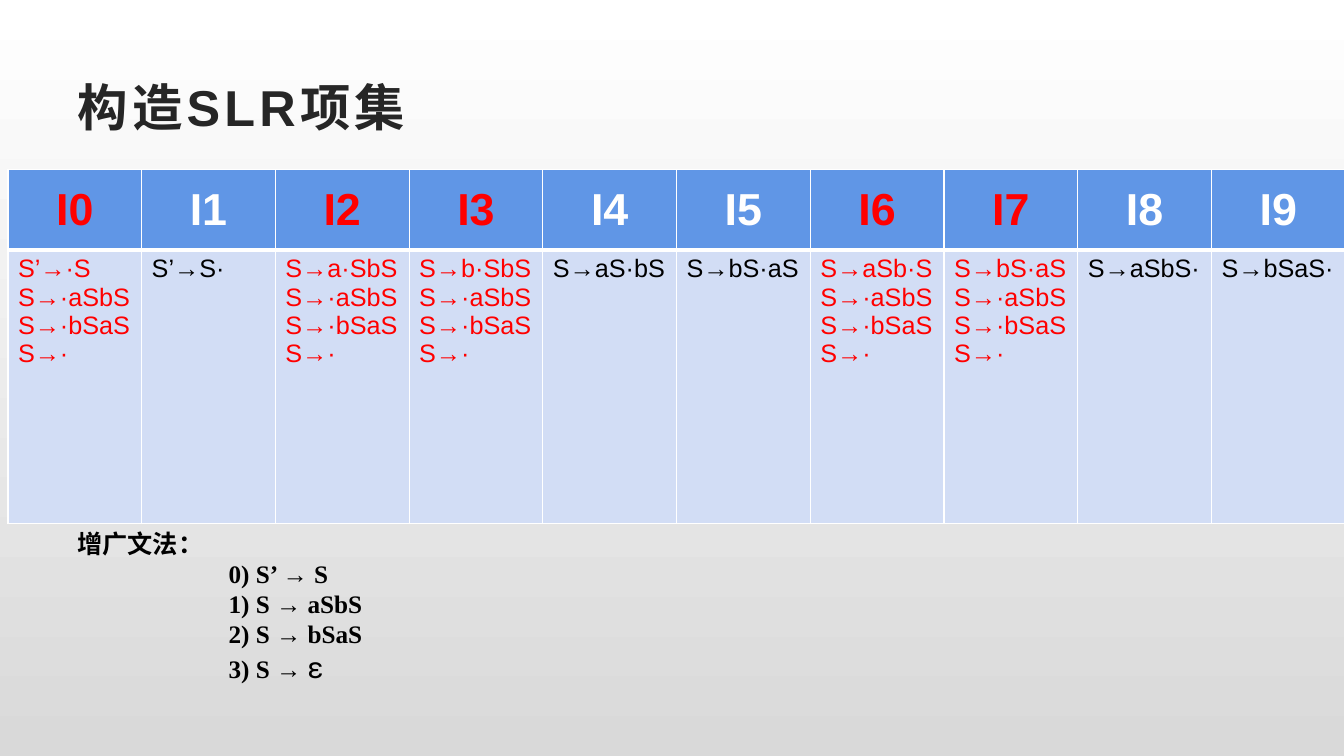
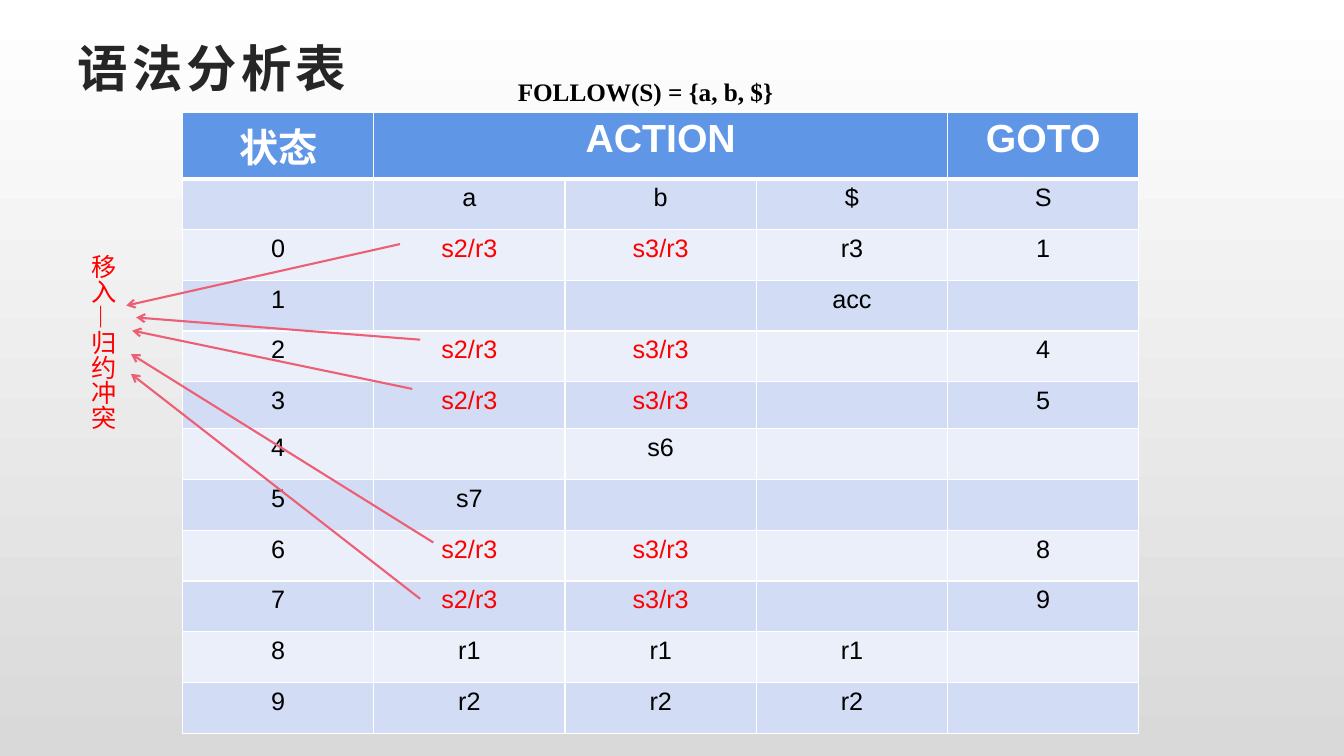
import pptx
import pptx.util
import pptx.dml.color
import pptx.enum.shapes
import pptx.enum.text
import pptx.oxml.ns
from lxml import etree

Cm, Pt = pptx.util.Cm, pptx.util.Pt
qn = pptx.oxml.ns.qn
ALIGN = pptx.enum.text.PP_ALIGN
ANCHOR = pptx.enum.text.MSO_ANCHOR
FIT = pptx.enum.text.MSO_AUTO_SIZE

# Shared look
WHITE, BLACK, RED = "FFFFFF", "000000", "FF0000"
INK, GREY, ARROW = "262626", "D9D9D9", "EC5F74"
HEADER, BAND_DARK, BAND_LIGHT = "6096E6", "D2DDF5", "EAEFFA"
SANS, SERIF, SYMBOL = "Arial", "Times New Roman", "Roboto"

# Slide 1: item sets and grammar
CLOSURE = ["S→·aSbS", "S→·bSaS", "S→·"]
ITEM_SETS = [
    ["S’→·S"] + CLOSURE, ["S’→S·"], ["S→a·SbS"] + CLOSURE, ["S→b·SbS"] + CLOSURE,
    ["S→aS·bS"], ["S→bS·aS"], ["S→aSb·S"] + CLOSURE, ["S→bS·aS"] + CLOSURE,
    ["S→aSbS·"], ["S→bSaS·"],
]
GRAMMAR = ["增广文法：", "0) S’ → S", "1) S → aSbS", "2) S → bSaS", "3) S → "]

# Slide 2: parsing table and the arrows to its conflicts
PARSE_ROWS = [
    ["状态", "ACTION", "", "", "GOTO"],
    ["", "a", "b", "$", "S"],
    ["0", "s2/r3", "s3/r3", "r3", "1"],
    ["1", "", "", "acc", ""],
    ["2", "s2/r3", "s3/r3", "", "4"],
    ["3", "s2/r3", "s3/r3", "", "5"],
    ["4", "", "s6", "", ""],
    ["5", "s7", "", "", ""],
    ["6", "s2/r3", "s3/r3", "", "8"],
    ["7", "s2/r3", "s3/r3", "", "9"],
    ["8", "r1", "r1", "r1", ""],
    ["9", "r2", "r2", "r2", ""],
]
PARSE_HEIGHTS = [1.45] + [1.28] * 4 + [1.18] + [1.28] * 6
CONFLICT_ARROWS = [  # (from x, from y, to x, to y)
    (10.08, 6.15, 3.18, 7.7),
    (10.39, 9.8, 3.33, 8.33),
    (10.59, 8.56, 3.43, 8),
    (10.92, 13.67, 3.3, 8.92),
    (10.59, 15.09, 3.3, 9.42),
]


def rgb(value):
    return pptx.dml.color.RGBColor.from_string(value)


def style(font, size, colour, name=SANS, bold=False):
    font.size, font.name, font.bold = Pt(size), name, bold
    font.color.rgb = rgb(colour)


def write(frame, lines, size, colour, name=SANS, bold=False, align=ALIGN.LEFT):
    for index, line in enumerate(lines):
        para = frame.add_paragraph() if index else frame.paragraphs[0]
        para.text = line
        para.alignment = align
        style(para.font, size, colour, name, bold)


def add_page(deck, title, top):
    page = deck.slides.add_slide(deck.slide_layouts[5])
    shape = page.shapes.title
    shape.left, shape.top, shape.width, shape.height = Cm(1.7), Cm(top), Cm(30.48), Cm(1.95)
    frame = shape.text_frame
    frame.auto_size, frame.vertical_anchor = FIT.NONE, ANCHOR.MIDDLE
    write(frame, [title], 36, INK, bold=True)
    frame.paragraphs[0].runs[0]._r.get_or_add_rPr().set("spc", "300")
    return page


def add_text(page, left, top, width, height, lines, colour, **look):
    box = page.shapes.add_textbox(Cm(left), Cm(top), Cm(width), Cm(height))
    frame = box.text_frame
    frame.word_wrap, frame.auto_size = True, FIT.SHAPE_TO_FIT_TEXT
    write(frame, lines, 18, colour, **look)
    return frame


def add_grid(page, left, top, column, columns, heights):
    frame = page.shapes.add_table(len(heights), columns, Cm(left), Cm(top),
                                  Cm(column * columns), Cm(sum(heights)))
    table = frame.table
    table.first_row = table.horz_banding = False
    for item in table.columns:
        item.width = Cm(column)
    for index, height in enumerate(heights):
        table.rows[index].height = Cm(height)
        fill = HEADER if index == 0 else BAND_DARK if index % 2 else BAND_LIGHT
        for cell in table.rows[index].cells:
            cell.fill.solid()
            cell.fill.fore_color.rgb = rgb(fill)
            add_borders(cell, top=3 if index == 1 else 1, bottom=3 if index == 0 else 1)
    return table


def add_borders(cell, top, bottom):
    properties = cell._tc.get_or_add_tcPr()
    for place, (side, width) in enumerate([("L", 1), ("R", 1), ("T", top), ("B", bottom)]):
        line = etree.Element(qn("a:ln" + side), w=str(Pt(width)))
        fill = etree.SubElement(line, qn("a:solidFill"))
        etree.SubElement(fill, qn("a:srgbClr"), val=WHITE)
        properties.insert(place, line)


def add_arrow(page, ends):
    line = page.shapes.add_connector(pptx.enum.shapes.MSO_CONNECTOR.STRAIGHT, *map(Cm, ends))
    line.line.color.rgb = rgb(ARROW)
    line.line.width = Pt(1.5)
    etree.SubElement(line.line._get_or_add_ln(), qn("a:tailEnd"), type="arrow")
    etree.SubElement(line._element.spPr, qn("a:effectLst"))


def build_item_sets(deck):
    page = add_page(deck, "构造SLR项集", 1.7)
    table = add_grid(page, 0.2, 4.27, 3.37, len(ITEM_SETS), [2.03, 6.9])
    for number, items in enumerate(ITEM_SETS):
        conflict = len(items) > 1
        head, body = table.cell(0, number), table.cell(1, number)
        head.vertical_anchor = ANCHOR.MIDDLE
        write(head.text_frame, [f"I{number}"], 32, RED if conflict else WHITE,
              bold=True, align=ALIGN.CENTER)
        write(body.text_frame, items, 18, RED if conflict else BLACK)

    # Augmented grammar
    frame = add_text(page, 1.7, 13.18, 9.25, 4.22, GRAMMAR, BLACK, name=SERIF, bold=True)
    for para in frame.paragraphs[1:]:
        para.level = 3
        para._p.get_or_add_pPr().set("marL", str(Cm(3.81)))
    epsilon = frame.paragraphs[-1].add_run()
    epsilon.text = "ε"
    style(epsilon.font, 21, BLACK, SYMBOL)


def build_parse_table(deck):
    page = add_page(deck, "语法分析表", 0.71)
    table = add_grid(page, 4.6, 2.82, 4.82, len(PARSE_ROWS[0]), PARSE_HEIGHTS)
    table.cell(0, 1).merge(table.cell(0, 3))
    for row, texts in enumerate(PARSE_ROWS):
        for column, text in enumerate(texts):
            if text:
                colour = WHITE if row == 0 else RED if "/" in text else BLACK
                write(table.cell(row, column).text_frame, [text], 18 if row else 28,
                      colour, bold=row == 0, align=ALIGN.CENTER)

    add_text(page, 12.8, 1.8, 11.35, 1.02, ["FOLLOW(S) = {a, b, $}"], BLACK,
             name=SERIF, bold=True)

    # Conflicts and their vertical label
    for ends in CONFLICT_ARROWS:
        add_arrow(page, ends)
    label = add_text(page, 1.04, 6.15, 2.06, 9.4, ["移入—归约冲突"], RED)
    label._txBody.bodyPr.set("vert", "eaVert")


def main():
    deck = pptx.Presentation()
    deck.slide_width, deck.slide_height = Cm(33.87), Cm(19.05)
    fill = deck.slide_master.background.fill
    fill.gradient()
    fill.gradient_angle = 270
    for stop, colour in zip(fill.gradient_stops, [WHITE, GREY]):
        stop.color.rgb = rgb(colour)
    build_item_sets(deck)
    build_parse_table(deck)
    deck.save("out.pptx")


if __name__ == "__main__":
    main()
